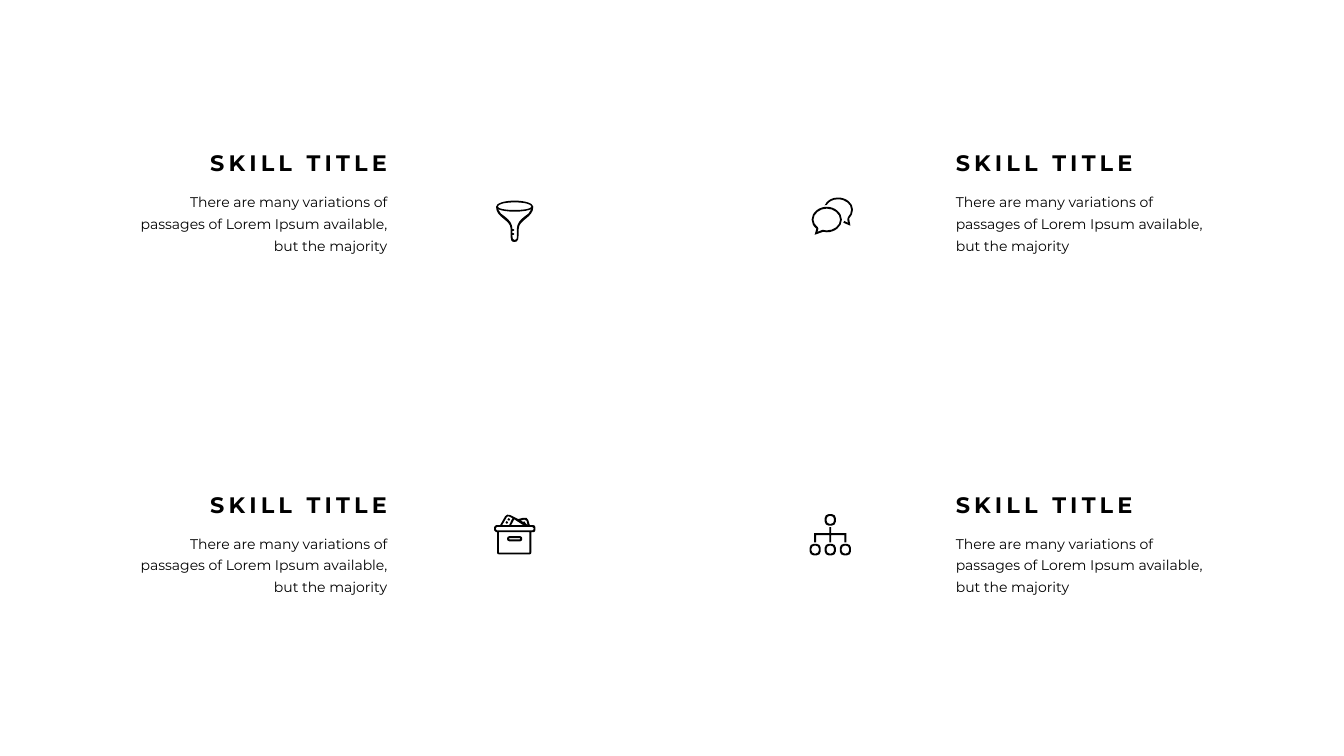
from lxml.etree import SubElement as Sub
from pptx import Presentation
from pptx.dml.color import RGBColor as Rgb
from pptx.enum.shapes import MSO_SHAPE as Kind
from pptx.enum.text import MSO_AUTO_SIZE as Fit, PP_ALIGN as Align
from pptx.oxml.ns import qn
from pptx.util import Inches, Pt

COLORS = {"ink": "000000", "paper": "FFFFFF"}
TITLE = "SKILL TITLE"
BODY = ("There are many variations of passages of Lorem Ipsum available, "
        "but the majority")


def trace(path):
    """Split a contour into steps, each a list of one or three points."""
    words = path.split()
    steps = []
    while words:
        size = 6 if words.pop(0) == "C" else 2
        nums = [float(word) for word in words[:size]]
        del words[:size]
        steps.append(list(zip(nums[::2], nums[1::2])))
    return steps


def box(x, y, w, h, r):
    """Return the contour of a rounded box."""
    r = min(r, h / 2)
    e, f, k = x + w, y + h, 0.45 * r
    return (f"M {x + r} {y} L {e - r} {y} C {e - k} {y} {e} {y + k} {e} {y + r} "
            f"L {e} {f - r} C {e} {f - k} {e - k} {f} {e - r} {f} "
            f"L {x + r} {f} C {x + k} {f} {x} {f - k} {x} {f - r} "
            f"L {x} {y + r} C {x} {y + k} {x + k} {y} {x + r} {y}")


def ring(x, y, w, h, r, pen=1.8):
    """Return the outer and inner contours of a box outline."""
    return [box(x, y, w, h, r),
            box(x + pen, y + pen, w - 2 * pen, h - 2 * pen, r - pen / 2)]


FUNNEL = [
    "M 18.5 0 C 8 0 0 2.7 0 6.2 C 0 17 14.5 19 14.5 28 L 14.5 33 "
    "C 14.5 40 15 41 18.5 41 C 22 41 22.5 39 22.5 28 "
    "C 22.5 19 37 17 37 6.2 C 37 2.7 29 0 18.5 0",
    "M 18.5 9.3 C 9 9.3 1.8 8 1.8 6 C 1.8 3.5 9 1.8 18.5 1.8 "
    "C 28 1.8 35.2 3.5 35.2 6 C 35.2 8 28 9.3 18.5 9.3",
    "M 28 16 C 24 19 20.7 23 20.7 28 C 20.7 33 20.7 37 20.5 38 "
    "C 20 39.2 19.5 39.2 18.5 39.2 C 17.5 39.2 17 39.2 16.7 38 "
    "C 16.3 37 16.3 36 16.3 34 L 17.3 34 C 18.5 34 18.5 32.2 17.3 32.2 "
    "L 16.3 32.2 L 16.3 30 L 17.3 30 C 18.5 30 18.5 28.2 17.3 28.2 "
    "L 16.3 28.2 C 16.3 23 13 19 9 16 C 6 14 3 12 2 8.5 "
    "C 5 10 11 11 18.5 11 C 26 11 32 10 35 8.5 C 34 12 31 14 28 16"]
CHAT = [
    "M 15 9.2 C 7 9.2 0 15 0 22 C 0 25.5 1.8 28.8 4.7 31 L 3 37 L 11.5 34 "
    "C 13 34.5 14 34.5 15 34.5 C 23 34.5 30 29 30 22 C 30 15 23 9.2 15 9.2",
    "M 15 32.7 C 14 32.7 13 32.5 12 32.2 C 11.5 32 11 32 10.5 32.2 "
    "L 5.8 34 L 6.7 31 C 6.8 30.3 6.6 29.8 6 29.3 C 3.5 27.5 1.8 25 1.8 22 "
    "C 1.8 16 8 11 15 11 C 22 11 28.2 16 28.2 22 C 28.2 28 22 32.7 15 32.7",
    "M 41 12 C 41 5.5 34.5 0 26 0 C 20 0 15 3 13 7.7 L 15 7.4 "
    "C 17 4 21 1.8 26 1.8 C 33.5 1.8 39.2 6.5 39.2 12 "
    "C 39.2 15 38 17.5 36 19.5 C 35.2 20.2 35.2 21 35.4 21.8 "
    "L 36 25 L 32.3 23.3 L 31.5 25 L 38.5 28 L 37.2 21 "
    "C 39.5 18.5 41 15.5 41 12"]
CRATE = ring(0, 11, 41, 7, 2) + ring(13, 22, 15, 5, 2) + [
    "M 3 18 L 3 38 C 3 39.5 3.5 40 5 40 L 35 40 C 36.5 40 37 39.5 37 38 "
    "L 37 18 L 35.2 18 L 35.2 38.2 L 4.8 38.2 L 4.8 18",
    "M 6 11 L 11 2.2 C 12 0.5 14 0 16 1 L 24 5 L 29 3.7 "
    "C 31.5 3 33.5 4 34 6 L 35.5 11",
    "M 12.7 3 C 13.3 2 14.2 2 15.2 2.6 L 18.3 4 L 15 11 L 8 11",
    "M 29 11 L 17 11 L 20 5.2",
    "M 30 5.5 C 31.3 5.2 32 5.8 32.3 6.7 L 33.3 11 L 31.3 9 L 30 7.2 "
    "L 29 7.8 L 26.3 6.5",
    "M 14 8 L 12.3 7 L 11.3 8.8 L 13 9.7",
    "M 16 5 L 14.3 4 L 13.3 5.8 L 15 6.7"]
TREE = [
    "M 4.6 28 L 4.6 19 L 19.6 19 L 19.6 13 L 21.4 13 L 21.4 19 L 36.4 19 "
    "L 36.4 28 L 34.6 28 L 34.6 20.8 L 21.4 20.8 L 21.4 28 L 19.6 28 "
    "L 19.6 20.8 L 6.4 20.8 L 6.4 28"]
for x, y in ((15, 0), (0, 29.5), (15, 29.5), (30, 29.5)):
    TREE += ring(x, y, 11, 11.5, 4)


class Deck:
    """Hold the style and the current slide."""

    def __init__(self, show):
        self.face = "Montserrat"
        self.slide = show.slides.add_slide(show.slide_layouts[6])
        fill = self.slide.background.fill
        fill.solid()
        fill.fore_color.rgb = self.tone("paper")

    def tone(self, name):
        """Return a named colour."""
        return Rgb.from_string(COLORS[name])

    def paint(self, shape, name):
        """Give a shape a plain fill without line or shadow."""
        shape.shadow.inherit = False
        shape.fill.solid()
        shape.fill.fore_color.rgb = self.tone(name)
        shape.line.fill.background()

    def disc(self, x, y, size):
        """Add a round badge."""
        shape = self.slide.shapes.add_shape(
            Kind.OVAL, Inches(x), Inches(y), Inches(size), Inches(size))
        self.paint(shape, "paper")

    def text(self, words, x, y, w, h, size, align, wrap=True, bold=False,
             lead=None, gap=None):
        """Add a text box of one paragraph."""
        frame = self.slide.shapes.add_textbox(
            Inches(x), Inches(y), Inches(w), Inches(h)).text_frame
        frame.word_wrap = wrap
        frame.auto_size = Fit.SHAPE_TO_FIT_TEXT
        frame.margin_left = frame.margin_right = 0
        para = frame.paragraphs[0]
        para.text = words
        para.alignment = align
        para.line_spacing = lead
        font = para.font
        font.name, font.size, font.bold = self.face, Pt(size), bold
        font.color.rgb = self.tone("ink")
        if gap:
            font._rPr.set("spc", str(gap * 100))

    def icon(self, x, y, paths):
        """Add one filled icon, drawn in hundredths of an inch."""
        def spot(point):
            return Inches(x + point[0] / 100), Inches(y + point[1] / 100)

        pen, steps = None, []
        for path in paths:
            first, *rest = trace(path)
            if pen is None:
                pen = self.slide.shapes.build_freeform(*spot(first[0]))
            else:
                pen.move_to(*spot(first[0]))
            pen.add_line_segments([spot(step[-1]) for step in rest])
            steps += rest
        shape = pen.convert_to_shape()
        for line, step in zip(list(shape._element.iter(qn("a:lnTo"))), steps):
            if len(step) == 3:
                line.tag = qn("a:cubicBezTo")
                line.clear()
                for left, top in map(spot, step):
                    Sub(line, qn("a:pt"), x=str(left - shape.left),
                        y=str(top - shape.top))
        self.paint(shape, "ink")

    def skill(self, edge, top, align):
        """Add a skill title with its text, held to one edge."""
        right = align == Align.RIGHT
        for words, drop, w, h, look in (
                (BODY, 0.39, 2.52, 0.76, {"size": 10, "lead": 1.3}),
                (TITLE, 0, 1.76, 0.37,
                 {"size": 16, "wrap": False, "bold": True, "gap": 3})):
            self.text(words, edge - w * right, top + drop, w, h,
                      align=align, **look)


show = Presentation()
show.slide_width, show.slide_height = Inches(13.33), Inches(7.5)
deck = Deck(show)
for x, y in ((4.67, 1.72), (7.8, 4.87), (4.67, 4.87)):
    deck.disc(x, y, 0.87)
for top in (1.43, 4.82):
    deck.skill(9.48, top, Align.LEFT)
    deck.skill(3.84, top, Align.RIGHT)
for x, y, paths in ((4.92, 1.99, FUNNEL), (4.9, 5.1, CRATE),
                    (8.05, 1.96, CHAT), (8.03, 5.1, TREE)):
    deck.icon(x, y, paths)
show.save("out.pptx")
